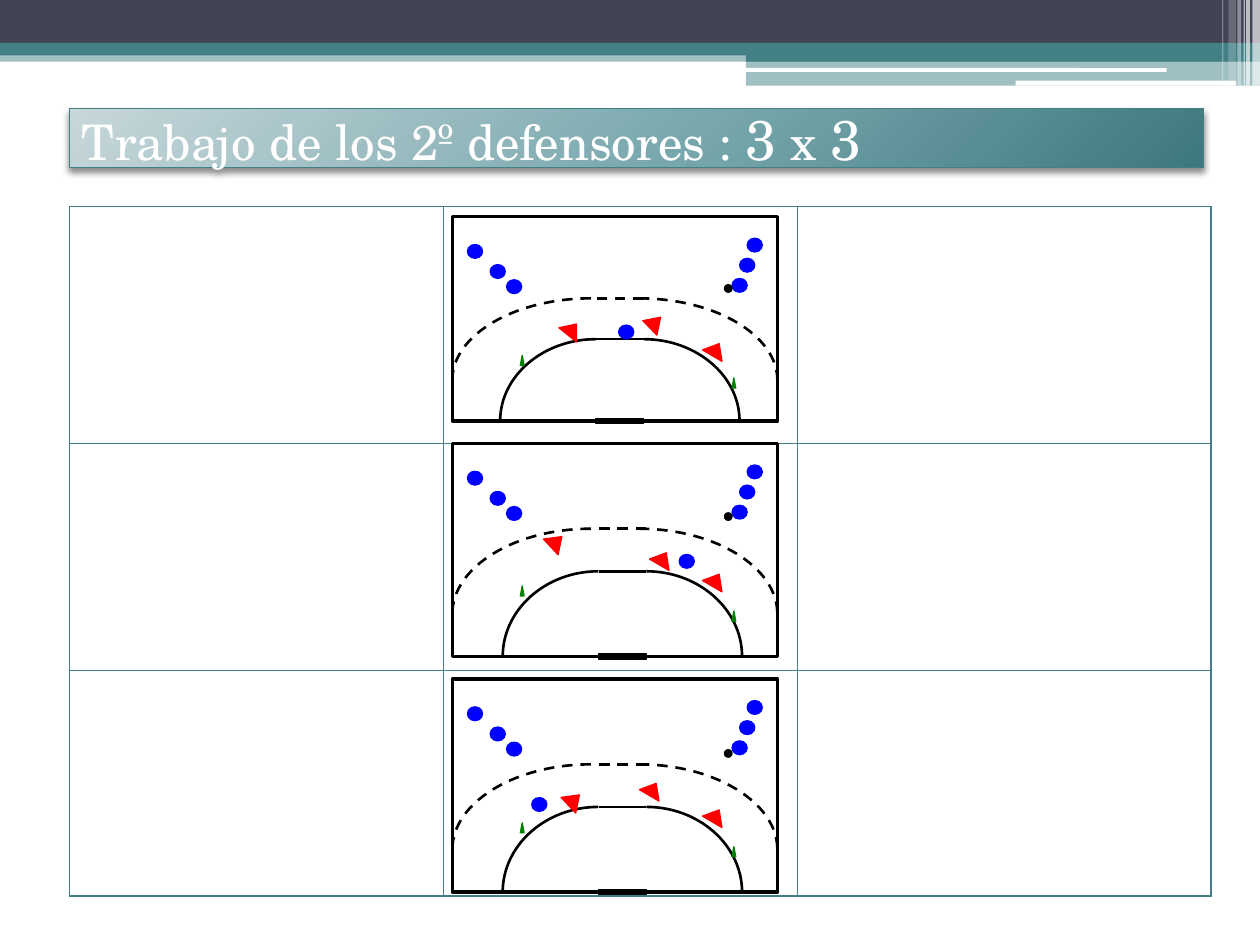
from lxml import etree
from pptx import Presentation
from pptx.dml.color import RGBColor
from pptx.enum.dml import MSO_LINE
from pptx.enum.shapes import MSO_CONNECTOR, MSO_SHAPE
from pptx.enum.text import MSO_ANCHOR, PP_ALIGN
from pptx.oxml import parse_xml
from pptx.oxml.ns import nsdecls, qn
from pptx.util import Inches, Pt

NAVY = RGBColor(0x42, 0x44, 0x56)
TEAL = RGBColor(0x43, 0x80, 0x86)
WHITE = RGBColor(0xFF, 0xFF, 0xFF)
BLACK = RGBColor(0, 0, 0)
BLUE = RGBColor(0, 0, 0xFF)
RED = RGBColor(0xFF, 0, 0)
GREEN = RGBColor(0, 0x80, 0)
FONT = "TeX Gyre Schola"
SLIDE_W, SLIDE_H = Inches(10), Inches(7.5)
U = SLIDE_W // 1000  # grid unit: a thousandth of the slide's width
KAPPA = 0.55  # share of the radius at which a quarter arc's control points lie

RECT, OVAL, TRIANGLE = MSO_SHAPE.RECTANGLE, MSO_SHAPE.OVAL, MSO_SHAPE.ISOSCELES_TRIANGLE
ATTACKERS = [(222, 49), (228, 33), (234, 17), (30, 38), (43, 50), (12, 22)]
# Places on a pitch are in grid units from its top left corner.
# A defender is left, top, width, height, rotation.
DRILLS = [
    dict(top=352, height=169, goal=116, cones=(113, 133), pivot=(180, 88), ball=55,
         defenders=[(158, 86, 18, 11, 30.2), (200, 103, 18, 11, 30.2), (74, 72, 17, 12, 46.9)]),
    dict(top=172, height=162, goal=114, cones=(110, 128), pivot=(132, 86), ball=54,
         defenders=[(153, 78, 16, 12, 45.4), (200, 100, 18, 11, 30.2), (86, 84, 18, 11, 38.7)]),
    dict(top=539, height=169, goal=116, cones=(114, 133), pivot=(63, 94), ball=56,
         defenders=[(150, 82, 18, 11, 30.2), (200, 103, 18, 11, 30.2), (88, 90, 17, 12, 46.9)]),
]


def add_block(shapes, kind, box, fill, line=None, width=0.75, opacity=100):
    """Add a preset shape; box is left, top, width, height in grid units."""
    sp = shapes.add_shape(kind, *(round(v * U) for v in box))
    sp.shadow.inherit = False
    sp.fill.solid()
    sp.fill.fore_color.rgb = fill
    if opacity < 100:
        color = sp._element.spPr.find(qn("a:solidFill"))[0]
        etree.SubElement(color, qn("a:alpha")).set("val", str(opacity * 1000))
    if line is None:
        sp.line.fill.background()
    else:
        sp.line.color.rgb = line
        sp.line.width = Pt(width)
    return sp


def style_court_line(shape, dashed):
    shape.line.color.rgb = BLACK
    shape.line.width = Pt(1.5)
    if dashed:
        shape.line.dash_style = MSO_LINE.DASH


def add_header(shapes):
    bands = [
        (0, 40, 1000, 9, TEAL, 50), (0, 0, 1000, 34, NAVY, 100),
        (0, 34, 1000, 10, TEAL, 100), (592, 39, 408, 10, TEAL, 100),
        (592, 48, 408, 20, TEAL, 50),
    ]
    pills = [(591, 54, 335, 3), (806, 64, 175, 4)]
    stripes = [(994, 6, 68, 65), (989, 3, 68, 65), (987, 1, 68, 60),
               (982, 3, 68, 40), (975, 6, 64, 20), (970, 1, 64, 30)]
    for *box, color, opacity in bands:
        add_block(shapes, RECT, box, color, opacity=opacity)
    for box in pills:
        add_block(shapes, MSO_SHAPE.ROUNDED_RECTANGLE, box, WHITE)
    for left, width, height, opacity in stripes:
        add_block(shapes, RECT, (left, 0, width, height), WHITE, opacity=opacity)


def add_title(shapes, box):
    sp = add_block(shapes, RECT, box, TEAL, TEAL)
    spPr = sp._element.spPr
    stops = "".join(f'<a:gs pos="{pos}000"><a:srgbClr val="{color}"/></a:gs>'
                    for pos, color in [(0, "C7D7DA"), (55, "77A7AD"), (100, "3E777D")])
    gradient = parse_xml(
        f'<a:gradFill {nsdecls("a")} rotWithShape="1"><a:gsLst>{stops}</a:gsLst>'
        '<a:path path="circle"><a:fillToRect l="-40000" t="-90000" r="140000" b="190000"/>'
        '</a:path></a:gradFill>')
    spPr.replace(spPr.find(qn("a:solidFill")), gradient)
    spPr.find(qn("a:effectLst")).append(parse_xml(
        f'<a:outerShdw {nsdecls("a")} blurRad="50800" dist="25400" dir="5400000" rotWithShape="0">'
        '<a:srgbClr val="000000"><a:alpha val="45000"/></a:srgbClr></a:outerShdw>'))
    tf = sp.text_frame
    tf.word_wrap = True
    tf.vertical_anchor = MSO_ANCHOR.MIDDLE
    p = tf.paragraphs[0]
    p.alignment = PP_ALIGN.LEFT
    for text, size in [("Trabajo de los 2º defensores : ", 28), ("3", 32), (" x ", 28), ("3", 32)]:
        r = p.add_run()
        r.text = text
        r.font.name = FONT
        r.font.size = Pt(size)
        r.font.color.rgb = WHITE


def add_drill_table(shapes, left, top, cols, rows):
    frame = shapes.add_table(len(rows), len(cols), left * U, top * U, sum(cols) * U, sum(rows) * U)
    table = frame.table
    table.first_row = table.horz_banding = False
    for col, width in zip(table.columns, cols):
        col.width = width * U
    for row, height in zip(table.rows, rows):
        row.height = height * U
    for cell in table.iter_cells():
        cell.fill.background()
        tcPr = cell._tc.get_or_add_tcPr()
        for i, side in enumerate(("lnL", "lnR", "lnT", "lnB")):
            tcPr.insert(i, parse_xml(
                f'<a:{side} {nsdecls("a")} w="12700"><a:solidFill>'
                f'<a:srgbClr val="{TEAL}"/></a:solidFill></a:{side}>'))


def add_quarter_arc(shapes, start, end, dashed):
    """Draw a quarter ellipse from its flat top at start down to its upright end."""
    (x0, y0), (x1, y1) = [(round(x * U), round(y * U)) for x, y in (start, end)]
    builder = shapes.build_freeform(x0, y0)
    builder.add_line_segments([(x1, y1)], close=False)
    arc = builder.convert_to_shape()
    segment = next(arc._element.iter(qn("a:lnTo")))
    left, top = min(x0, x1), min(y0, y1)
    controls = [(x0 + KAPPA * (x1 - x0), y0), (x1, y1 - KAPPA * (y1 - y0))]
    for i, (x, y) in enumerate(controls):
        segment.insert(i, parse_xml(
            f'<a:pt {nsdecls("a")} x="{round(x - left)}" y="{round(y - top)}"/>'))
    segment.tag = qn("a:cubicBezTo")
    arc.shadow.inherit = False
    arc.fill.background()
    style_court_line(arc, dashed)


def add_court_line(shapes, x0, x1, y, dashed):
    line = shapes.add_connector(MSO_CONNECTOR.STRAIGHT, *(round(v * U) for v in (x0, y, x1, y)))
    etree.SubElement(line._element.spPr, qn("a:effectLst"))
    style_court_line(line, dashed)


def add_pitch(shapes, left, top, width, height, goal):
    add_block(shapes, RECT, (left, top, width, height), WHITE, BLACK, 2)
    post, goal_w = left + goal, 38
    centre_l, centre_r = left + 110, left + width - 110
    areas = [  # top and bottom as shares of the pitch, inner and outer ends of both arcs
        (0.6, 1, (post, post - 76), (post + goal_w, post + goal_w + 76), False),
        (0.4, 0.8, (centre_l, left), (centre_r, left + width), True),
    ]
    for upper, lower, *sides, dashed in areas:
        y0, y1 = top + upper * height, top + lower * height
        for inner, outer in sides:
            add_quarter_arc(shapes, (inner, y0), (outer, y1), dashed)
        add_court_line(shapes, post + goal_w, post, y0, dashed)
    add_block(shapes, RECT, (post, top + height - 2, goal_w, 4), BLACK, BLACK)


def add_drill(shapes, left, width, top, height, goal, cones, pivot, ball, defenders):
    group = shapes.add_group_shape().shapes
    add_pitch(group, left, top, width, height, goal)
    for x, y in ATTACKERS + [pivot]:
        add_block(group, OVAL, (left + x, top + y, 12, 11), BLUE, BLUE)
    for x, y, w, h, angle in defenders:
        add_block(group, TRIANGLE, (left + x, top + y, w, h), RED, RED).rotation = angle
    for x, y in zip((54, 222), cones):
        add_block(group, TRIANGLE, (left + x, top + y, 3, 8), GREEN, GREEN)
    add_block(group, OVAL, (left + 216, top + ball, 6, 6), BLACK, BLACK)


def main():
    prs = Presentation()
    prs.slide_width, prs.slide_height = SLIDE_W, SLIDE_H
    shapes = prs.slides.add_slide(prs.slide_layouts[6]).shapes
    add_header(shapes)
    add_title(shapes, (55, 86, 900, 47))
    add_drill_table(shapes, 55, 164, cols=(297, 281, 328), rows=(188, 180, 179))
    for drill in DRILLS:
        add_drill(shapes, left=359, width=258, **drill)
    prs.save("out.pptx")


if __name__ == "__main__":
    main()
